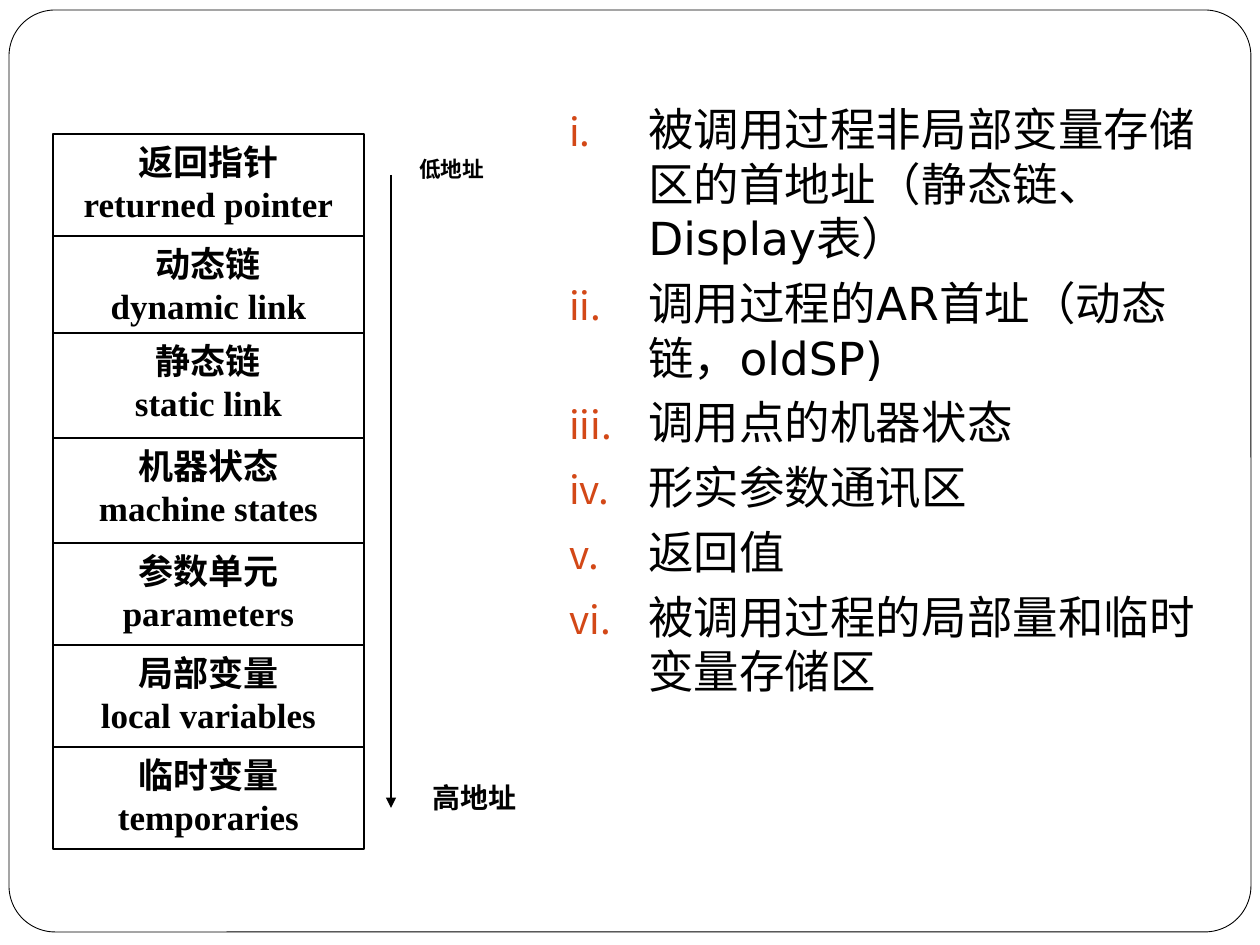
"""Build a slide showing the layout of an activation record."""
from dataclasses import dataclass
from typing import NamedTuple, Optional

from lxml import etree
from pptx import Presentation
from pptx import util as u
from pptx.dml.color import RGBColor
from pptx.enum import shapes, text
from pptx.oxml import ns

PX_PER_INCH = 126


@dataclass(frozen=True)
class Theme:
    ink: RGBColor = RGBColor(0, 0, 0)
    paper: RGBColor = RGBColor(255, 255, 255)
    accent: str = "D34817"
    body_font: str = "DejaVu Sans"
    label_font: str = "Times New Roman"
    body_size: float = 26
    body_gap: float = 5.8
    cell_size: float = 20
    high_size: float = 16
    low_size: float = 12.4
    frame_line: float = 0.5
    thin_line: float = 0.75


class Area(NamedTuple):
    left: int
    top: int
    width: int
    height: int


class Cell(NamedTuple):
    chinese: str
    english: str
    top: int
    height: int = 102


class Label(NamedTuple):
    words: str
    area: Area
    size: float
    spacing: Optional[float] = None


THEME = Theme()
FRAME = Area(9, 10, 1242, 922)
BODY = Area(557, 95, 661, 661)
CELL_LEFT, CELL_WIDTH = 53, 311
ARROW_X, ARROW_TOP, ARROW_BOTTOM = 391, 175, 808

CELLS = [
    Cell("返回指针", "returned pointer", 134),
    Cell("动态链", "dynamic link", 236),
    Cell("静态链", "static link", 333, 105),
    Cell("机器状态", "machine states", 438, 105),
    Cell("参数单元", "parameters", 543),
    Cell("局部变量", "local variables", 645),
    Cell("临时变量", "temporaries", 747),
]
LABELS = [
    Label("高地址", Area(420, 774, 126, 48), THEME.high_size),
    Label("低地址", Area(407, 155, 149, 40), THEME.low_size, 0.8),
]
ITEMS = [
    "被调用过程非局部变量存储区的首地址（静态链、Display表）",
    "调用过程的AR首址（动态链，oldSP)",
    "调用点的机器状态",
    "形实参数通讯区",
    "返回值",
    "被调用过程的局部量和临时变量存储区",
]


def px(count: int) -> u.Emu:
    return u.Emu(round(count * u.Inches(1) / PX_PER_INCH))


def place(area: Area) -> list[u.Emu]:
    return [px(length) for length in area]


def style(para, name: str, size: float, bold: bool) -> None:
    para.font.name = name
    para.font.size = u.Pt(size)
    para.font.bold = bold
    para.font.color.rgb = THEME.ink


def draw_box(page, kind, area: Area, line: Optional[float] = None):
    box = page.shapes.add_shape(kind, *place(area))
    box.shadow.inherit = False
    box.fill.solid()
    box.fill.fore_color.rgb = THEME.paper
    if line is None:
        box.line.fill.background()
    else:
        box.line.color.rgb = THEME.ink
        box.line.width = u.Pt(line)
    box.text_frame.vertical_anchor = text.MSO_ANCHOR.TOP
    return box


def write_lines(box, lines: list[str], size: float, align) -> None:
    box.text_frame.text = "\n".join(lines)
    for para in box.text_frame.paragraphs:
        para.alignment = align
        style(para, THEME.label_font, size, True)


def draw_cell(page, cell: Cell) -> None:
    area = Area(CELL_LEFT, cell.top, CELL_WIDTH, cell.height)
    box = draw_box(page, shapes.MSO_SHAPE.RECTANGLE, area, THEME.thin_line)
    write_lines(box, [cell.chinese, cell.english], THEME.cell_size, text.PP_ALIGN.CENTER)


def draw_label(page, label: Label) -> None:
    box = draw_box(page, shapes.MSO_SHAPE.RECTANGLE, label.area)
    write_lines(box, [label.words], label.size, text.PP_ALIGN.JUSTIFY)
    if label.spacing:
        box.text_frame.paragraphs[0].line_spacing = label.spacing


def draw_arrow(page) -> None:
    arrow = page.shapes.add_connector(
        shapes.MSO_CONNECTOR.STRAIGHT, px(ARROW_X), px(ARROW_TOP), px(ARROW_X), px(ARROW_BOTTOM)
    )
    arrow.line.color.rgb = THEME.ink
    arrow.line.width = u.Pt(THEME.thin_line)
    etree.SubElement(arrow.line._get_or_add_ln(), ns.qn("a:tailEnd"), type="triangle")
    etree.SubElement(arrow._element.spPr, ns.qn("a:effectLst"))


def number(para) -> None:
    props = para._p.get_or_add_pPr()
    props.set("marL", str(px(79)))
    props.set("indent", str(-px(79)))
    color = etree.SubElement(props, ns.qn("a:buClr"))
    etree.SubElement(color, ns.qn("a:srgbClr"), val=THEME.accent)
    etree.SubElement(props, ns.qn("a:buSzPct"), val="85000")
    etree.SubElement(props, ns.qn("a:buAutoNum"), type="romanLcPeriod")


def draw_list(page, items: list[str]) -> None:
    box = page.shapes.add_textbox(*place(BODY))
    box.text_frame.word_wrap = True
    box.text_frame.text = "\n".join(items)
    for index, para in enumerate(box.text_frame.paragraphs):
        number(para)
        if index:
            para.space_before = u.Pt(THEME.body_gap)
        style(para, THEME.body_font, THEME.body_size, False)


def main() -> None:
    deck = Presentation()
    deck.slide_width, deck.slide_height = px(1260), px(945)
    page = deck.slides.add_slide(deck.slide_layouts[6])
    frame = draw_box(page, shapes.MSO_SHAPE.ROUNDED_RECTANGLE, FRAME, THEME.frame_line)
    frame.adjustments[0] = 0.05
    draw_list(page, ITEMS)
    for cell in CELLS:
        draw_cell(page, cell)
    draw_arrow(page)
    for label in LABELS:
        draw_label(page, label)
    deck.save("out.pptx")


if __name__ == "__main__":
    main()
